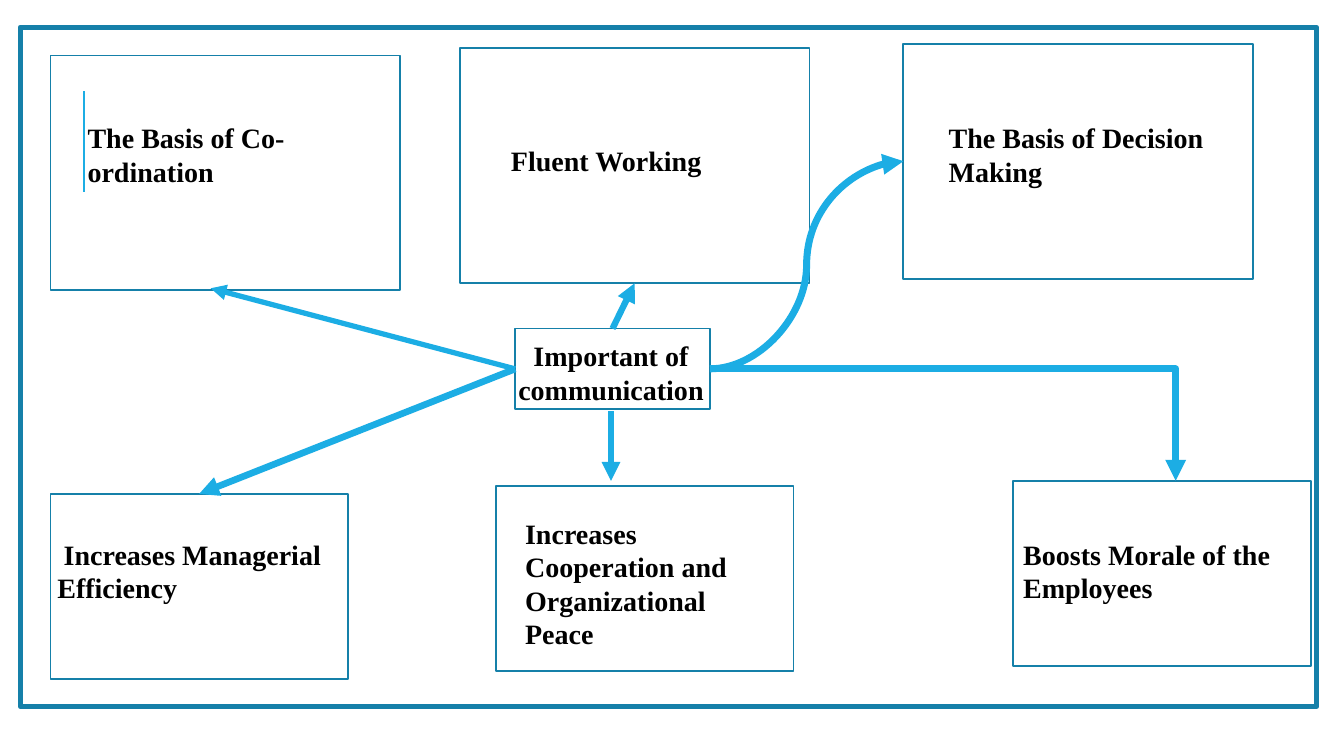
from lxml import etree
from pptx import Presentation
from pptx.dml.color import RGBColor
from pptx.enum.shapes import MSO_CONNECTOR, MSO_SHAPE
from pptx.enum.text import PP_ALIGN
from pptx.oxml.ns import qn
from pptx.util import Inches, Pt

RECTANGLE = MSO_SHAPE.RECTANGLE
STRAIGHT, ELBOW, CURVE = MSO_CONNECTOR.STRAIGHT, MSO_CONNECTOR.ELBOW, MSO_CONNECTOR.CURVE
LEFT, CENTER = PP_ALIGN.LEFT, PP_ALIGN.CENTER
TOP_SIDE, LEFT_SIDE, BOTTOM_SIDE = 0, 1, 2

COLORS = {"border": "1580A9", "arrow": "1CADE4", "text": "000000"}
FONT = "Times New Roman"
SPACE_FONT = "Cabin"

UPPER_SIZE = (3.47, 2.33)
LOWER_SIZE = (2.95, 1.84)

# Box position, box size, label area, label runs
BENEFITS = {
    "coordination": ((0.5, 0.55), UPPER_SIZE, (0.77, 1.15, 3.13, 0.77),
                     [("The Basis of Co-ordination", FONT)]),
    "fluency": ((4.56, 0.48), UPPER_SIZE, (4.97, 1.37, 3.03, 0.44),
                [("Fluent Working", FONT)]),
    "decisions": ((8.96, 0.44), UPPER_SIZE, (9.31, 1.15, 3.08, 0.77),
                  [("The Basis of Decision Making", FONT)]),
    "efficiency": ((0.5, 4.9), LOWER_SIZE, (0.47, 5.28, 3.01, 1.08),
                   [(" ", SPACE_FONT), ("Increases Managerial Efficiency", FONT)]),
    "cooperation": ((4.92, 4.82), LOWER_SIZE, (5.11, 5.07, 2.6, 1.45),
                    [("Increases Cooperation and Organizational Peace", FONT)]),
    "morale": ((10.05, 4.77), LOWER_SIZE, (10.05, 5.28, 3, 1.08),
               [("Boosts Morale of the Employees", FONT)]),
}


def color(name):
    return RGBColor.from_string(COLORS[name])


def add_box(slide, left, top, width, height, weight=1.25):
    box = slide.shapes.add_shape(
        RECTANGLE, Inches(left), Inches(top), Inches(width), Inches(height))
    box.shadow.inherit = False
    box.fill.background()
    box.line.color.rgb = color("border")
    box.line.width = Pt(weight)
    return box


def add_label(slide, area, runs, align=LEFT):
    label = slide.shapes.add_textbox(*(Inches(length) for length in area))
    label.text_frame.word_wrap = True
    paragraph = label.text_frame.paragraphs[0]
    paragraph.alignment = align
    for words, font_name in runs:
        run = paragraph.add_run()
        run.text = words
        run.font.name = font_name
        run.font.size = Pt(20)
        run.font.bold = True
        run.font.color.rgb = color("text")


def add_line(slide, start, end, weight, kind=STRAIGHT):
    line = slide.shapes.add_connector(
        kind, *(Inches(length) for length in start + end))
    line.line.color.rgb = color("arrow")
    line.line.width = Pt(weight)
    etree.SubElement(line._element.spPr, qn("a:effectLst"))
    return line


def add_arrow(slide, start, end, weight, kind=STRAIGHT):
    arrow = add_line(slide, start, end, weight, kind)
    etree.SubElement(arrow.line._get_or_add_ln(), qn("a:tailEnd"), type="triangle")
    if kind == ELBOW:  # a single corner
        arrow._element.spPr.find(qn("a:prstGeom")).set("prst", "bentConnector2")
    return arrow


def main():
    prs = Presentation()
    prs.slide_width, prs.slide_height = Inches(13.33), Inches(7.5)
    slide = prs.slides.add_slide(prs.slide_layouts[6])

    # Frame and accent line
    add_box(slide, 0.2, 0.27, 12.86, 6.74, weight=3.5)
    add_line(slide, (0.83, 1.9), (0.83, 0.9), 1.5)

    # Central topic
    add_label(slide, (4.57, 3.31, 2.98, 0.77),
              [("Important of communication", FONT)], CENTER)
    topic = add_box(slide, 5.11, 3.26, 1.93, 0.8)

    # Benefits
    boxes = {}
    for benefit, (position, size, label_area, runs) in BENEFITS.items():
        add_label(slide, label_area, runs)
        boxes[benefit] = add_box(slide, *position, *size)

    # Arrows from the topic to each benefit
    topic_left, topic_right = (5.11, 3.66), (7.04, 3.66)
    to_fluency = add_arrow(slide, (6.07, 3.26), (6.29, 2.81), 4.5)
    to_fluency.begin_connect(topic, TOP_SIDE)
    to_fluency.end_connect(boxes["fluency"], BOTTOM_SIDE)
    add_arrow(slide, topic_right, (8.96, 1.6), 5, CURVE)
    add_arrow(slide, topic_right, (11.66, 4.77), 5, ELBOW)
    to_coordination = add_arrow(slide, topic_left, (2.09, 2.86), 3.75)
    to_coordination.begin_connect(topic, LEFT_SIDE)
    to_efficiency = add_arrow(slide, topic_left, (1.97, 4.9), 4.75)
    to_efficiency.begin_connect(topic, LEFT_SIDE)
    to_efficiency.end_connect(boxes["efficiency"], TOP_SIDE)
    add_arrow(slide, (6.06, 4.08), (6.06, 4.77), 4.5)

    prs.save("out.pptx")


if __name__ == "__main__":
    main()
